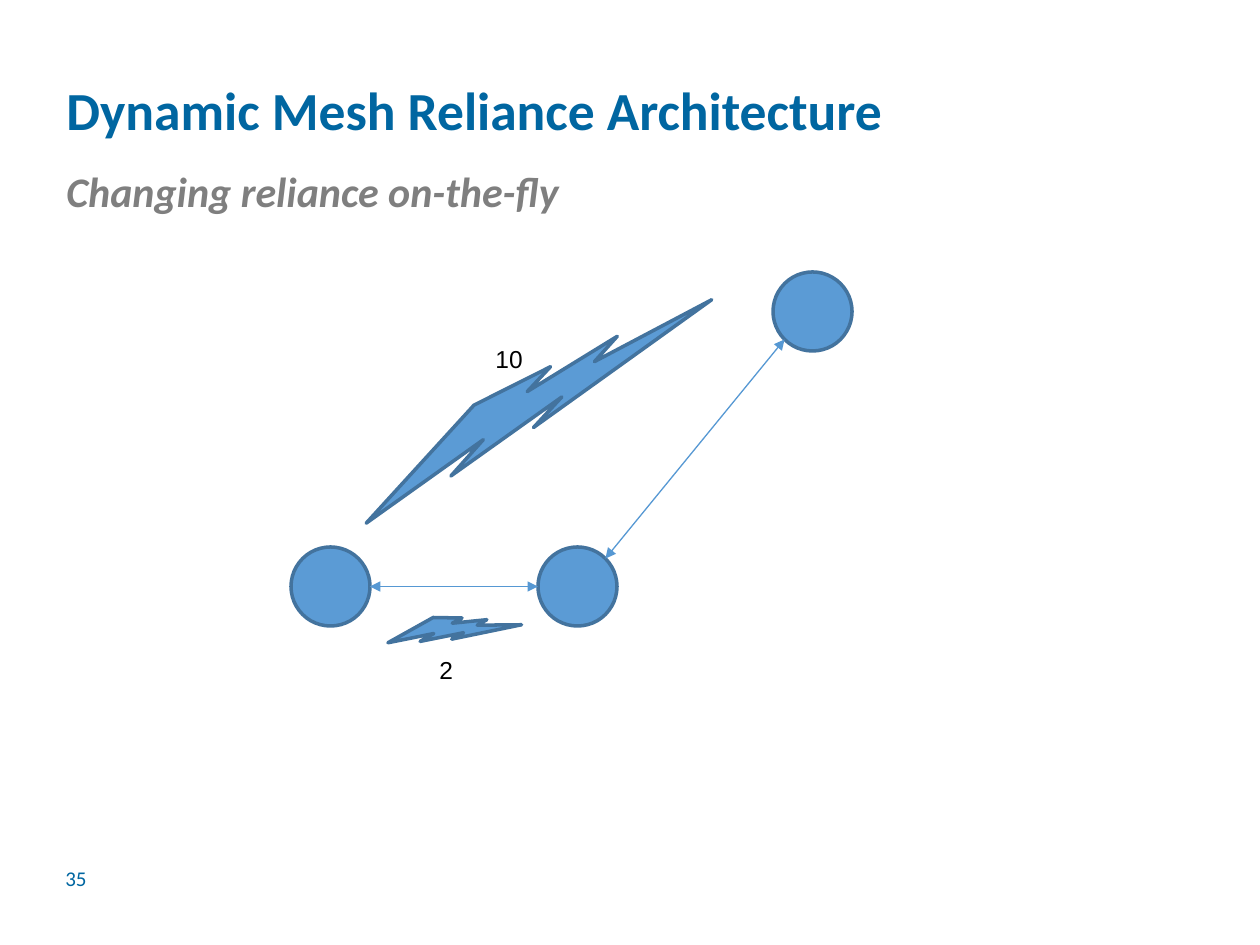
from dataclasses import dataclass
from math import sqrt

from lxml import etree
from pptx import Presentation
from pptx import util as u
from pptx.dml.color import RGBColor
from pptx.enum import shapes, text
from pptx.oxml import ns

EMU_PER_PX = 914400 / 126
NODE_SIZE = 79


@dataclass(frozen=True)
class Theme:
    heading: str = "0066A1"
    subheading: str = "7F7F7F"
    label: str = "000000"
    fill: str = "5B9BD5"
    outline: str = "43739E"
    link: str = "5698D3"
    heading_font: str = "Calibri"
    label_font: str = "Arial"
    title_size: float = 30.6
    subtitle_size: float = 24
    label_size: float = 14
    number_size: float = 12
    outline_width: float = 2
    link_width: float = 0.75


THEME = Theme()


def px(length):
    return u.Emu(round(length * EMU_PER_PX))


def add_text(slide, box, words, size, color, font=THEME.heading_font,
             bold=False, italic=False, spacing=1.0,
             anchor=text.MSO_ANCHOR.TOP):
    frame = slide.shapes.add_textbox(*map(px, box)).text_frame
    frame.word_wrap = True
    frame.vertical_anchor = anchor
    frame.text = words
    paragraph = frame.paragraphs[0]
    paragraph.line_spacing = spacing
    style = paragraph.runs[0].font
    style.name = font
    style.size = u.Pt(size)
    style.bold = bold
    style.italic = italic
    style.color.rgb = RGBColor.from_string(color)


def add_filled(slide, preset, box, rotation=0):
    figure = slide.shapes.add_shape(preset, *map(px, box))
    figure.shadow.inherit = False
    figure.rotation = rotation
    figure.fill.solid()
    figure.fill.fore_color.rgb = RGBColor.from_string(THEME.fill)
    figure.line.color.rgb = RGBColor.from_string(THEME.outline)
    figure.line.width = u.Pt(THEME.outline_width)


def add_node(slide, left, top):
    add_filled(slide, shapes.MSO_SHAPE.OVAL, (left, top, NODE_SIZE, NODE_SIZE))


def rim_point(node, across, down):
    radius = NODE_SIZE / 2
    reach = radius / sqrt(across ** 2 + down ** 2)
    left, top = node
    return left + radius + across * reach, top + radius + down * reach


def add_link(slide, start, end):
    link = slide.shapes.add_connector(
        shapes.MSO_CONNECTOR.STRAIGHT, *map(px, (*start, *end)))
    link.line.color.rgb = RGBColor.from_string(THEME.link)
    link.line.width = u.Pt(THEME.link_width)
    stroke = link.line._get_or_add_ln()
    for tag in ("a:headEnd", "a:tailEnd"):
        etree.SubElement(stroke, ns.qn(tag), type="triangle")
    etree.SubElement(link._element.spPr, ns.qn("a:effectLst"))


def main():
    deck = Presentation()
    deck.slide_width, deck.slide_height = px(1260), px(945)
    slide = deck.slides.add_slide(deck.slide_layouts[6])

    add_text(slide, (53, 853, 284, 50), "35", THEME.number_size,
             THEME.heading, anchor=text.MSO_ANCHOR.MIDDLE)
    add_text(slide, (54, 78, 1160, 72), "Dynamic Mesh Reliance Architecture",
             THEME.title_size, THEME.heading, bold=True, spacing=0.9)
    add_text(slide, (54, 165, 1160, 58), "Changing reliance on-the-fly",
             THEME.subtitle_size, THEME.subheading, bold=True, italic=True,
             spacing=0.9)

    source, relay, remote = nodes = ((291, 547), (538, 547), (773, 272))
    for node in nodes:
        add_node(slide, *node)

    add_link(slide, rim_point(relay, 1, -1), rim_point(remote, -1, 1))
    for box, rotation in (((388, 611, 131, 39), 338.6),
                          ((331, 365, 406, 82), 317.7)):
        add_filled(slide, shapes.MSO_SHAPE.LIGHTNING_BOLT, box, rotation)
    for box, cost in (((483, 338, 79, 43), "10"), ((427, 649, 33, 43), "2")):
        add_text(slide, box, cost, THEME.label_size, THEME.label,
                 font=THEME.label_font)
    add_link(slide, rim_point(source, 1, 0), rim_point(relay, -1, 0))

    deck.save("out.pptx")


if __name__ == "__main__":
    main()
